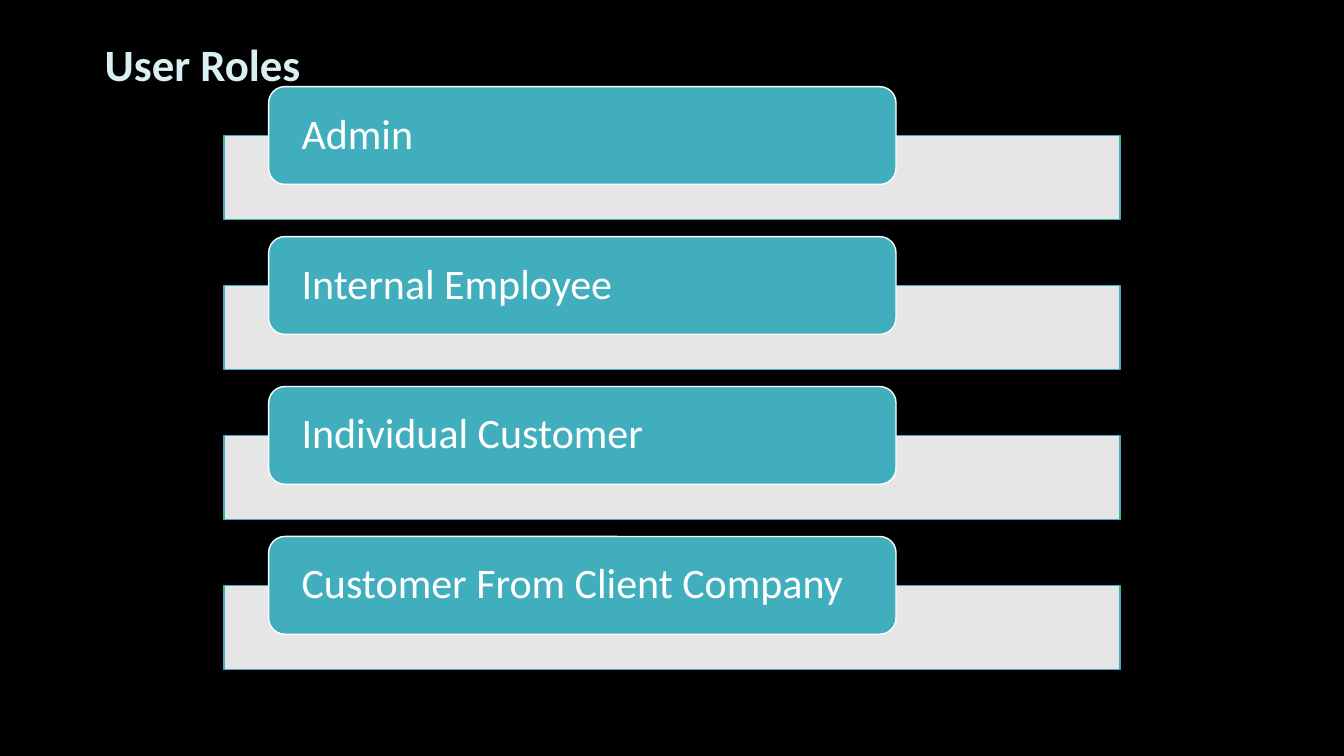
import dataclasses

import lxml.etree
import pptx
import pptx.dml.color
import pptx.enum.shapes
import pptx.enum.text
import pptx.oxml.ns
import pptx.util

Inches = pptx.util.Inches
Pt = pptx.util.Pt
Shapes = pptx.enum.shapes.MSO_SHAPE
Align = pptx.enum.text.PP_ALIGN
Anchor = pptx.enum.text.MSO_ANCHOR


@dataclasses.dataclass(frozen=True)
class Theme:
    background: str = "000000"
    accent: str = "41AEBD"
    heading: str = "D9EFF2"
    light: str = "FFFFFF"
    track_opacity: int = 90
    font: str = "Calibri"
    heading_size: int = 32
    role_size: int = 30
    line_width: int = 1


THEME = Theme()
ROLES = ["Admin", "Internal Employee", "Individual Customer", "Customer From Client Company"]


def rgb(code):
    return pptx.dml.color.RGBColor.from_string(code)


def set_font(paragraph, size, color, bold=False):
    paragraph.font.name = THEME.font
    paragraph.font.size = Pt(size)
    paragraph.font.bold = bold
    paragraph.font.color.rgb = rgb(color)


def add_panel(slide, preset, box, fill, line):
    panel = slide.shapes.add_shape(preset, *map(Inches, box))
    panel.shadow.inherit = False
    panel.fill.solid()
    panel.fill.fore_color.rgb = rgb(fill)
    panel.line.color.rgb = rgb(line)
    panel.line.width = Pt(THEME.line_width)
    return panel


def set_opacity(panel, percent):
    color = panel.fill._xPr.find(".//" + pptx.oxml.ns.qn("a:srgbClr"))
    lxml.etree.SubElement(color, pptx.oxml.ns.qn("a:alpha"), val=str(percent * 1000))


def place_heading(slide, text, box):
    heading = slide.shapes.title
    heading.left, heading.top, heading.width, heading.height = map(Inches, box)
    frame = heading.text_frame
    frame.text = text
    frame.word_wrap = False
    frame.auto_size = pptx.enum.text.MSO_AUTO_SIZE.NONE
    frame.vertical_anchor = Anchor.TOP
    paragraph = frame.paragraphs[0]
    paragraph.alignment = Align.CENTER
    set_font(paragraph, THEME.heading_size, THEME.heading, bold=True)


def add_role(slide, role, box):
    left, top, width, height = box
    track_height = 0.83
    track_box = (left, top + height - track_height, width, track_height)
    track = add_panel(slide, Shapes.RECTANGLE, track_box, THEME.light, THEME.accent)
    set_opacity(track, THEME.track_opacity)

    label_box = (left + 0.05 * width, top, 0.7 * width, 0.97)
    label = add_panel(slide, Shapes.ROUNDED_RECTANGLE, label_box, THEME.accent, THEME.light)
    frame = label.text_frame
    frame.text = role
    frame.word_wrap = True
    frame.vertical_anchor = Anchor.MIDDLE
    frame.margin_left = frame.margin_right = Inches(0.28)
    frame.margin_top = frame.margin_bottom = 0
    paragraph = frame.paragraphs[0]
    paragraph.alignment = Align.LEFT
    paragraph.line_spacing = 0.9
    set_font(paragraph, THEME.role_size, THEME.light)


def add_role_list(slide, roles, box):
    left, top, width, height = box
    gap = 0.17
    row_height = (height - gap * (len(roles) - 1)) / len(roles)
    for index, role in enumerate(roles):
        row_top = top + index * (row_height + gap)
        add_role(slide, role, (left, row_top, width, row_height))


def build_user_roles(deck):
    slide = deck.slides.add_slide(deck.slide_layouts[5])
    slide.background.fill.solid()
    slide.background.fill.fore_color.rgb = rgb(THEME.background)
    place_heading(slide, "User Roles", (0.89, 0.31, 2.24, 0.64))
    add_role_list(slide, ROLES, (2.22, 0.86, 8.89, 5.78))


deck = pptx.Presentation()
deck.slide_width = Inches(13.33)
deck.slide_height = Inches(7.5)
build_user_roles(deck)
deck.save("out.pptx")
